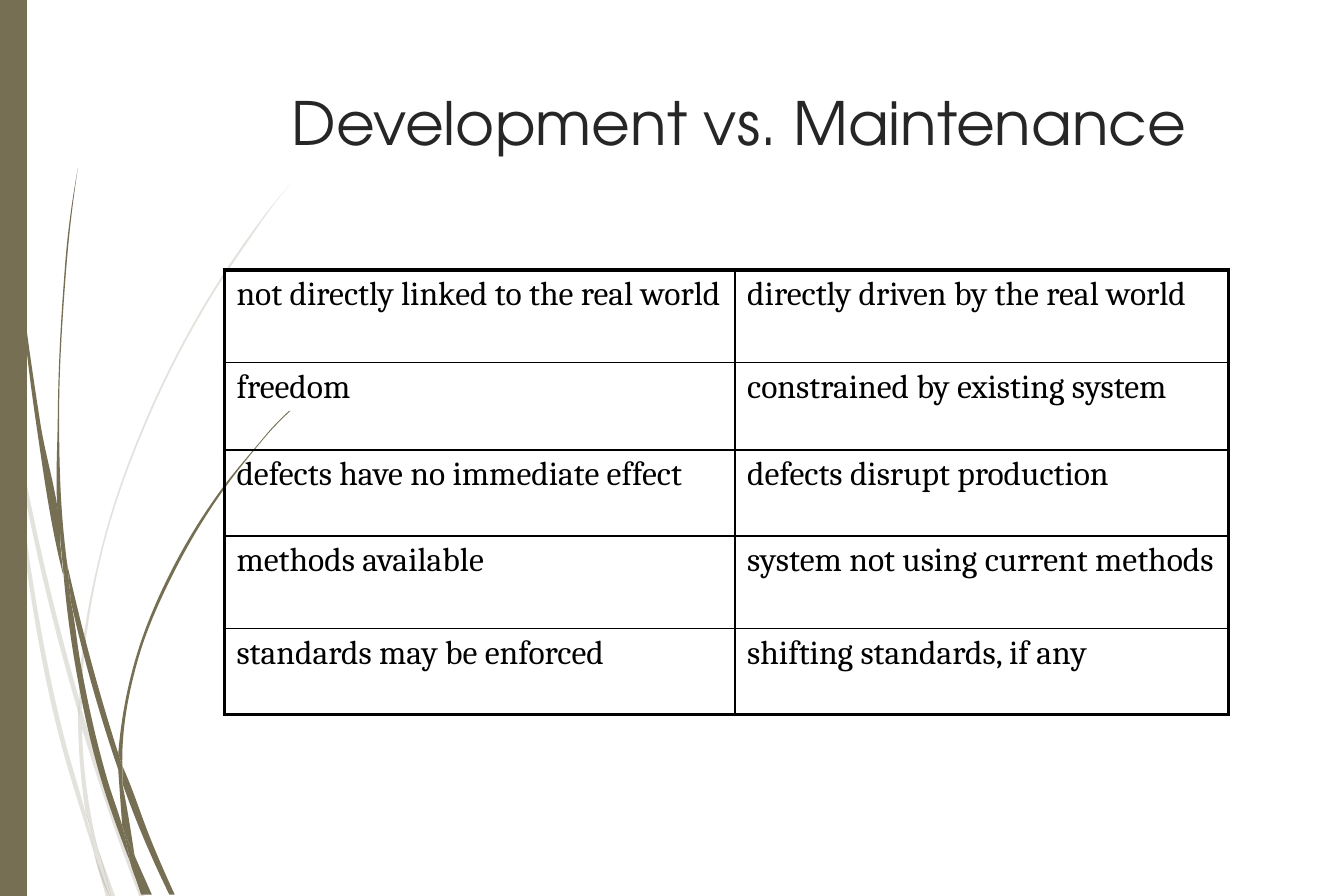
import math
from dataclasses import dataclass
from typing import NamedTuple

import pptx
import pptx.dml.color
import pptx.enum.shapes
import pptx.enum.text
import pptx.oxml
import pptx.oxml.ns
import pptx.util

PX = 9144  # EMU in one px, 100 px to the inch


def emu(px: float) -> pptx.util.Emu:
    return pptx.util.Emu(round(px * PX))


@dataclass(frozen=True)
class Theme:
    olive: str = "766F54"
    ink: str = "262626"
    black: str = "000000"
    head: str = "TeX Gyre Adventor"
    body: str = "Cambria"
    big: int = 32
    text: int = 18
    thick: float = 2.25
    thin: float = 1
    faint: int = 20


THEME = Theme()


class Point(NamedTuple):
    x: float
    y: float


@dataclass(frozen=True)
class Blade:
    """A part of a grass stalk: smooth edges that meet at corners."""
    edges: tuple
    alpha: int


class Row(NamedTuple):
    left: str
    right: str
    high: int


PALE = (
    (((8, 311), (6, 286), (0, 250)), ((0, 266), (7, 306), (8, 311))),
    (((10, 307), (43, 462), (59, 521)), ((59, 533), (40, 464), (12, 334))),
    (((61, 529), (64, 539), (88, 615), (108, 668)), ((104, 668), (85, 616), (61, 542))),
    (((73, 632), (83, 668)), ((86, 668), (73, 632))),
    (((8, 311), (12, 334), (22, 417), (48, 550), (64, 607), (69, 628), (70, 635)),
     ((70, 635), (64, 616), (45, 552), (19, 417), (8, 311))),
    (((58, 533), (60, 574), (64, 607)), ((67, 615), (73, 632)),
     ((72, 628), (63, 574), (61, 542))),
    (((61, 529), (61, 519), (76, 411), (111, 310), (159, 218), (187, 176),
      (201, 156), (217, 136)),
     ((217, 136), (201, 155), (186, 175), (158, 217), (110, 309), (75, 410),
      (59, 519), (59, 521))),
    (((70, 635), (79, 668)), ((82, 668), (70, 635))),
    (((61, 541), (61, 543)), ((61, 530), (59, 521)), ((58, 533),)),
    (((65, 607), (69, 629), (70, 635), (82, 668)), ((83, 668), (73, 632), (67, 615))),
)
DARK = (
    (((2, 0), (3, 43), (5, 98), (14, 207), (27, 316), (46, 424), (47, 428)),
     ((45, 406), (45, 403), (30, 315), (15, 206), (6, 97), (4, 43), (3, 0))),
    (((50, 420), (77, 525), (88, 561)), ((88, 573), (73, 526), (53, 449))),
    (((91, 570), (94, 577), (113, 627), (130, 666)), ((126, 666), (109, 629), (91, 583))),
    (((47, 424), (53, 449), (60, 494), (81, 584), (91, 615), (96, 637), (97, 642)),
     ((97, 642), (92, 629), (77, 586), (56, 495), (47, 424))),
    (((50, 420), (48, 403), (44, 310), (48, 217), (52, 171), (58, 125)),
     ((58, 125), (51, 171), (47, 217), (43, 310), (45, 399), (49, 419))),
    (((101, 639), (110, 666)), ((113, 666), (101, 639))),
    (((47, 424), (53, 449)), ((50, 420), (45, 399)), ((45, 403),)),
    (((91, 570), (91, 563), (103, 490), (131, 423), (169, 361), (191, 333),
      (203, 319), (216, 306)),
     ((215, 306), (203, 318), (191, 332), (168, 360), (129, 422), (101, 490),
      (88, 561))),
    (((97, 642), (105, 666)), ((108, 666), (97, 642))),
    (((88, 573), (91, 615)), ((96, 628), (101, 639)), ((100, 636), (91, 583), (90, 578))),
    (((88, 573), (91, 583)), ((91, 570), (88, 561))),
    (((91, 615), (96, 637), (97, 642), (108, 666)), ((110, 666), (101, 639), (96, 628))),
)
BLADES = [Blade(edges, THEME.faint) for edges in PALE] + [Blade(edges, 100) for edges in DARK]

ROWS = (
    Row("not directly linked to the real world", "directly driven by the real world", 69),
    Row("freedom", "constrained by existing system", 65),
    Row("defects have no immediate effect", "defects disrupt production", 64),
    Row("methods available", "system not using current methods", 69),
    Row("standards may be enforced", "shifting standards, if any", 64),
)
COLS = (380, 367)


def rgb(color: str) -> pptx.dml.color.RGBColor:
    return pptx.dml.color.RGBColor.from_string(color)


def blend(a: Point, b: Point, s: float, t: float) -> Point:
    return Point(a.x * s + b.x * t, a.y * s + b.y * t)


def bend(edge: tuple) -> list[tuple[Point, Point]]:
    """Give the two handles of each curve between neighbours on the edge."""
    knots = [Point(*knot) for knot in edge]
    if len(knots) < 2:
        return []
    spans = [math.dist(a, b) for a, b in zip(knots, knots[1:])]
    dirs = [blend(b, a, 1 / h, -1 / h) for a, b, h in zip(knots, knots[1:], spans)]
    ways = [blend(d, e, k / (h + k), h / (h + k))
            for d, e, h, k in zip(dirs, dirs[1:], spans, spans[1:])]
    first = blend(dirs[0], ways[0], 2, -1) if ways else dirs[0]
    last = blend(dirs[-1], ways[-1], 2, -1) if ways else dirs[-1]
    ways = [first, *ways, last]
    return [(blend(a, v, 1, h / 3), blend(b, w, 1, -h / 3))
            for a, b, v, w, h in zip(knots, knots[1:], ways, ways[1:], spans)]


def paint(shape, alpha: int = 100) -> None:
    shape.shadow.inherit = False
    shape.line.fill.background()
    shape.fill.solid()
    shape.fill.fore_color.rgb = rgb(THEME.olive)
    if alpha < 100:
        tint = shape._element.spPr.find(".//" + pptx.oxml.ns.qn("a:srgbClr"))
        tint.append(pptx.oxml.parse_xml(
            f'<a:alpha {pptx.oxml.ns.nsdecls("a")} val="{alpha * 1000}"/>'))


def draw_blade(slide, blade: Blade) -> None:
    spots = [(emu(x), emu(y)) for edge in blade.edges for x, y in edge]
    pen = slide.shapes.build_freeform(*spots[0], scale=1.0)
    pen.add_line_segments(spots[1:], close=True)
    shape = pen.convert_to_shape()
    paint(shape, blade.alpha)
    # Turn the lines along each edge into curves; corners keep theirs.
    grips = [grip for edge in blade.edges for grip in (None, *bend(edge))][1:]
    lines = shape._element.findall(".//" + pptx.oxml.ns.qn("a:lnTo"))
    for line, grip in zip(lines, grips):
        if grip:
            line.tag = pptx.oxml.ns.qn("a:cubicBezTo")
            for i, p in enumerate(grip):
                line.insert(i, pptx.oxml.parse_xml(
                    f'<a:pt {pptx.oxml.ns.nsdecls("a")} '
                    f'x="{emu(p.x) - shape.left}" y="{emu(p.y) - shape.top}"/>'))


def style(part, face: str, size: int, color: str) -> None:
    for run in part.runs:
        run.font.name = face
        run.font.size = pptx.util.Pt(size)
        run.font.color.rgb = rgb(color)


def draw_title(slide, text: str) -> None:
    title = slide.shapes.title
    title.left, title.top, title.width, title.height = map(emu, (207, 59, 744, 70))
    frame = title.text_frame
    frame.text = text
    frame.word_wrap = True
    frame.auto_size = pptx.enum.text.MSO_AUTO_SIZE.NONE
    frame.vertical_anchor = pptx.enum.text.MSO_ANCHOR.TOP
    frame.paragraphs[0].alignment = pptx.enum.text.PP_ALIGN.LEFT
    style(frame.paragraphs[0], THEME.head, THEME.big, THEME.ink)
    slide.shapes._spTree.append(title._element)  # in front of the grass


def draw_cell(cell, text: str, outer: dict[str, bool]) -> None:
    """Fill one cell; outer tells which sides lie on the table's rim."""
    cell.text_frame.text = text
    cell.margin_left = cell.margin_right = emu(9)
    cell.margin_top = cell.margin_bottom = emu(4)
    part = cell.text_frame.paragraphs[0]
    part.alignment = pptx.enum.text.PP_ALIGN.JUSTIFY
    style(part, THEME.body, THEME.text, THEME.black)
    for side, rim in outer.items():
        width = pptx.util.Pt(THEME.thick if rim else THEME.thin)
        cell._tc.get_or_add_tcPr().append(pptx.oxml.parse_xml(
            f'<a:ln{side} {pptx.oxml.ns.nsdecls("a")} w="{width}"><a:solidFill>'
            f'<a:srgbClr val="{THEME.black}"/></a:solidFill></a:ln{side}>'))
    cell.fill.background()


def draw_table(slide) -> None:
    size = sum(COLS), sum(row.high for row in ROWS)
    table = slide.shapes.add_table(
        len(ROWS), len(COLS), *map(emu, (167, 201, *size))).table
    table.first_row = table.horz_banding = False
    for col, wide in zip(table.columns, COLS):
        col.width = emu(wide)
    for i, row in enumerate(ROWS):
        table.rows[i].height = emu(row.high)
        for j, text in enumerate((row.left, row.right)):
            draw_cell(table.cell(i, j), text, {
                "L": j == 0, "R": j == len(COLS) - 1,
                "T": i == 0, "B": i == len(ROWS) - 1})


def main() -> None:
    deck = pptx.Presentation()
    deck.slide_width, deck.slide_height = emu(1000), emu(667)
    slide = deck.slides.add_slide(deck.slide_layouts.get_by_name("Title Only"))
    for blade in BLADES:
        draw_blade(slide, blade)
    paint(slide.shapes.add_shape(
        pptx.enum.shapes.MSO_SHAPE.RECTANGLE, *map(emu, (0, 0, 20, 667))))
    draw_title(slide, "Development vs. Maintenance")
    draw_table(slide)
    deck.save("out.pptx")


if __name__ == "__main__":
    main()
